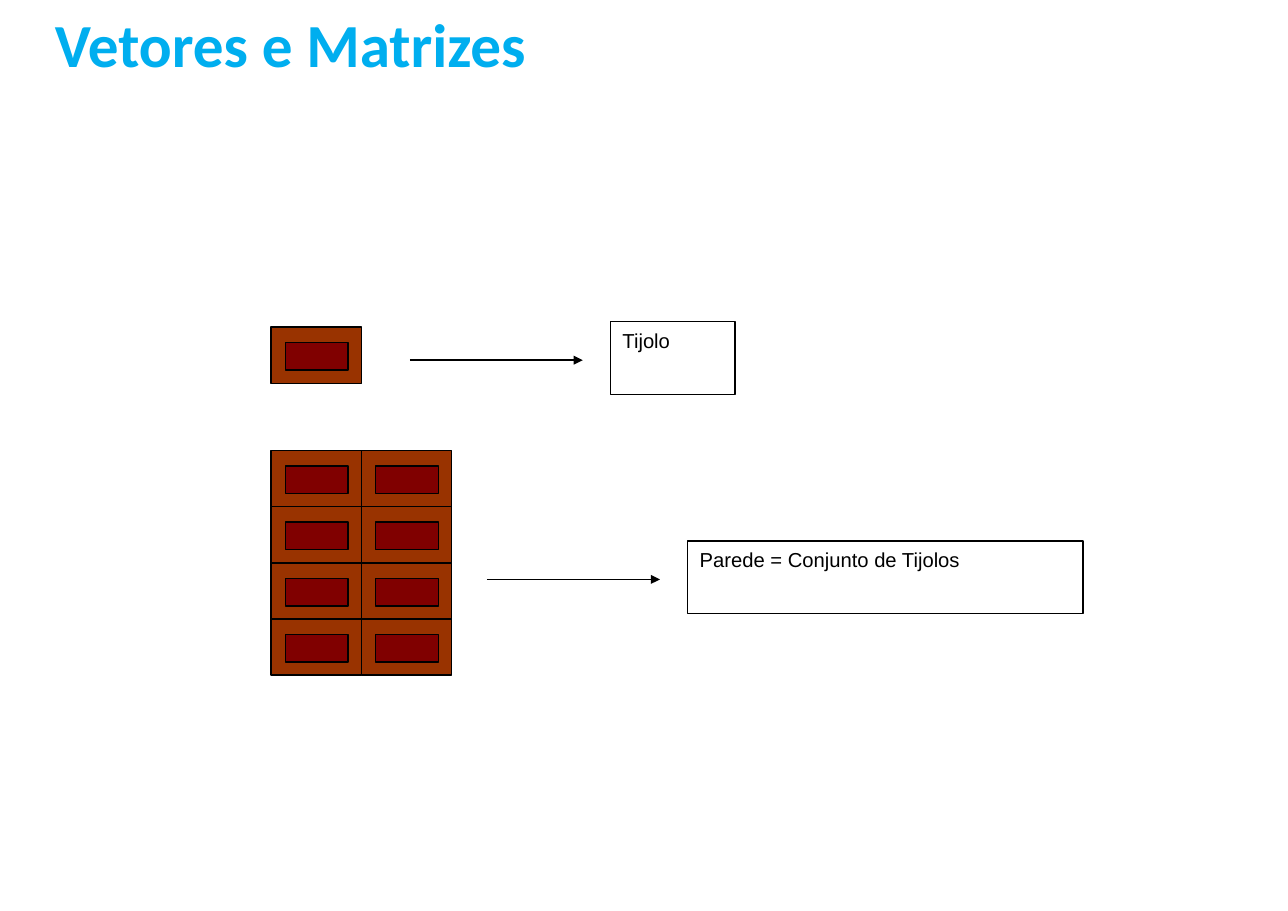
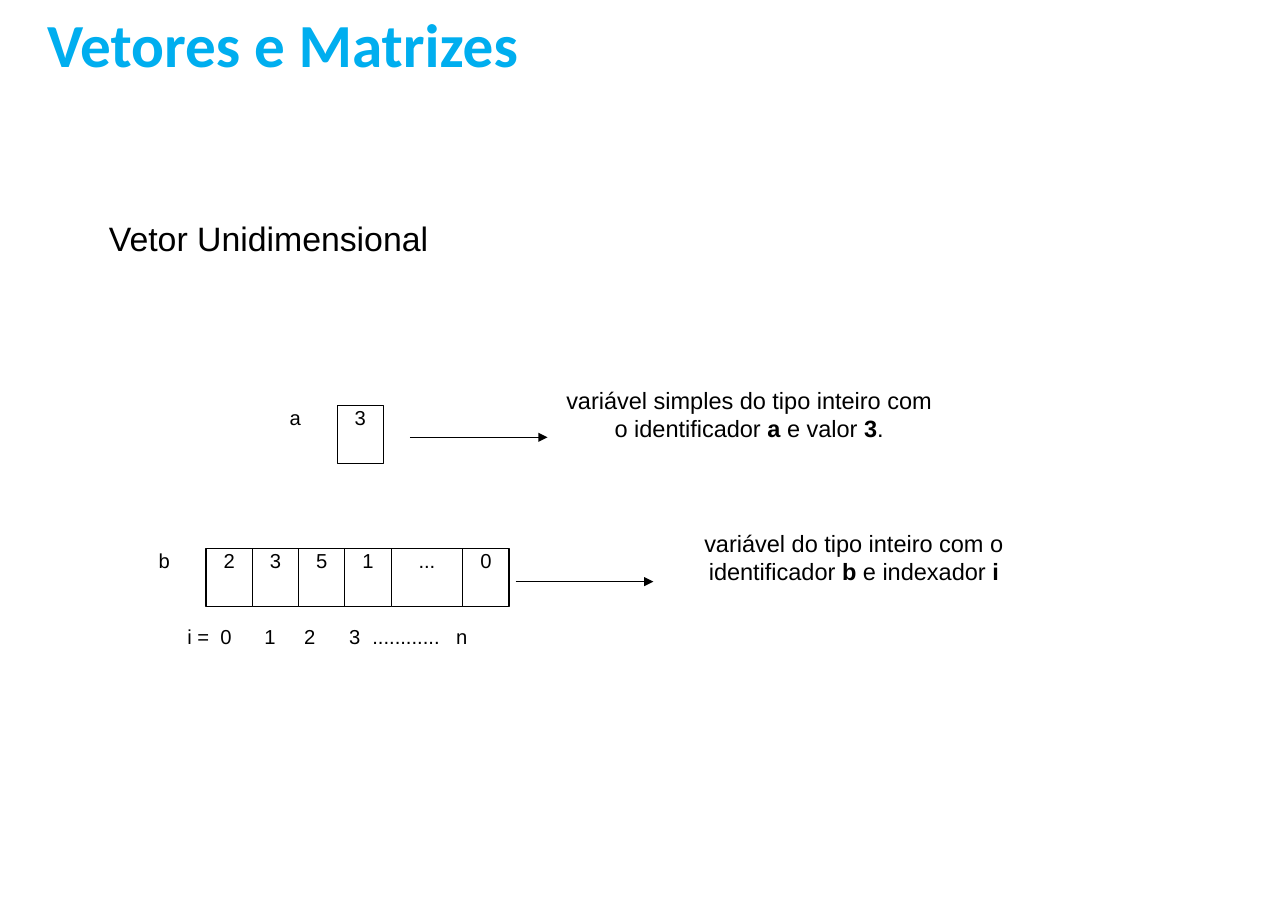
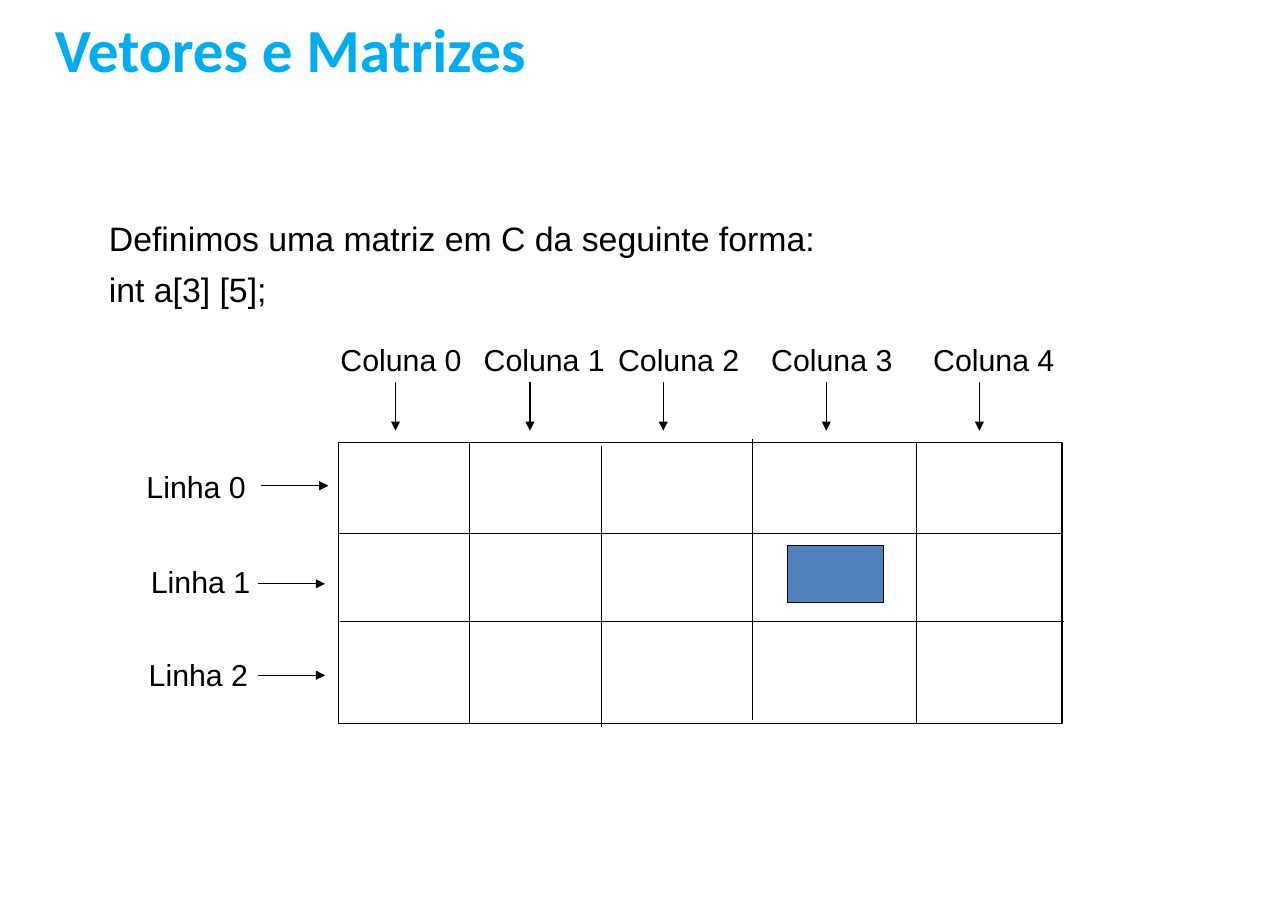
from lxml.etree import SubElement
from pptx import Presentation
from pptx.dml.color import RGBColor
from pptx.enum.shapes import MSO_CONNECTOR, MSO_SHAPE
from pptx.enum.text import MSO_ANCHOR, PP_ALIGN
from pptx.oxml.ns import qn
from pptx.util import Pt

PX = 9144  # 100 px to the inch
BLACK = RGBColor(0x00, 0x00, 0x00)
WHITE = RGBColor(0xFF, 0xFF, 0xFF)
CYAN = RGBColor(0x00, 0xAE, 0xEF)
BRICK = RGBColor(0x99, 0x33, 0x00)
MAROON = RGBColor(0x80, 0x00, 0x00)
BLUE = RGBColor(0x4F, 0x81, 0xBD)
INSET = (11, 6)
LEFT, CENTER = PP_ALIGN.LEFT, PP_ALIGN.CENTER


def box(s, x, y, w, h, text="", size=13.2, color=BLACK, font="Arial", bold=None,
        fill=None, line=None, inset=INSET, align=LEFT, anchor=MSO_ANCHOR.TOP,
        wrap=True, before=()):
    """Rectangle if filled, else text box; parts between | are bold."""
    frame = [v * PX for v in (x, y, w, h)]
    if fill is None:
        sp = s.shapes.add_textbox(*frame)
    else:
        sp = s.shapes.add_shape(MSO_SHAPE.RECTANGLE, *frame)
        sp.shadow.inherit = False
        sp.fill.solid()
        sp.fill.fore_color.rgb = fill
        if line:
            sp.line.color.rgb = BLACK
            sp.line.width = Pt(line)
        else:
            sp.line.fill.background()
    if not text:
        return sp
    tf = sp.text_frame
    tf.word_wrap = wrap
    tf.vertical_anchor = anchor
    tf.margin_left = tf.margin_right = inset[0] * PX
    tf.margin_top = tf.margin_bottom = inset[1] * PX
    for i, words in enumerate(text.split("\n")):
        p = tf.add_paragraph() if i else tf.paragraphs[0]
        p.alignment = align
        if before:
            p.space_before = Pt(before[i])
        p.font.name, p.font.size, p.font.bold = font, Pt(size), bold
        p.font.color.rgb = color
        for j, part in enumerate(words.split("|")):
            r = p.add_run()
            r.text = part
            if j % 2:
                r.font.bold = True
    return sp


def line(s, x1, y1, x2, y2, width=0.75, arrow=False):
    c = s.shapes.add_connector(MSO_CONNECTOR.STRAIGHT, x1 * PX, y1 * PX, x2 * PX, y2 * PX)
    c.line.color.rgb = BLACK
    c.line.width = Pt(width)
    if arrow:
        SubElement(c.line._get_or_add_ln(), qn("a:tailEnd"), type="triangle")
    SubElement(c._element.spPr, qn("a:effectLst"))


prs = Presentation()
prs.slide_width, prs.slide_height = 1169 * PX, 827 * PX

# Slides with their shared title
slides = []
for x, y, h in ((40, 1, 77), (33, 1, 77), (40, 10, 68)):
    s = prs.slides.add_slide(prs.slide_layouts[6])
    box(s, x, y, 992, h, "Vetores e Matrizes", 40, CYAN, "Calibri", True,
        inset=(10, 5), anchor=MSO_ANCHOR.MIDDLE)
    slides.append(s)
wall, vector, matrix = slides

# Body text of the last two slides
for s, text in ((vector, "Vetor Unidimensional"),
                (matrix, "Definimos uma matriz em C da seguinte forma:\nint a[3] [5];")):
    box(s, 89, 193, 992, 546, text, 22.1, inset=(10, 5), before=(7.7, 6.6))

# Slide 1: one brick, then a wall of 4 rows by 2 columns
BRICK_W, BRICK_H = 82, 51
bricks = [(246, 297)]
bricks += [(246 + col * BRICK_W, 409 + row * BRICK_H) for row in range(4) for col in range(2)]
for x, y in bricks:
    box(wall, x, y, BRICK_W, BRICK_H, fill=BRICK, line=1)
    box(wall, x + 13, y + 14, 57, 25, fill=MAROON, line=1)
for x, y, w, text in ((372, 327, 113, "Tijolo"), (442, 526, 359, "Parede = Conjunto de Tijolos")):
    line(wall, x, y, x + 157, y, 1, arrow=True)
    box(wall, x + 182, y - 35, w, 66, text, fill=WHITE, line=1)

# Slide 2: a simple variable and a vector, each with name, cells, arrow and note
CELL_W, DOTS_W, CELL_H = 42, 65, 53
rows = (
    ("a", 306, 368, ["3"], 372, 397, 498, 344,
     "variável simples do tipo inteiro com o identificador |a| e valor |3|."),
    ("b", 187, 498, ["2", "3", "5", "1", "...", "0"], 468, 528, 593, 474,
     "variável do tipo inteiro com o identificador |b| e indexador |i"),
)
for name, x, y, values, arrow_x, arrow_y, note_x, note_y, note in rows:
    box(vector, x - 54, y - 6, 54, 59, name, fill=WHITE)
    for value in values:
        w = DOTS_W if value == "..." else CELL_W
        box(vector, x, y, w, CELL_H, value, fill=WHITE, line=0.75, inset=(0, 0), align=CENTER)
        x += w
    line(vector, arrow_x, arrow_y, arrow_x + 125, arrow_y, arrow=True)
    box(vector, note_x, note_y, 364, 112, note, 15.4, align=CENTER)

# Index row, set with tab stops
sp = box(vector, 159, 561, 313, 45, "i =\t0\t1\t2\t3\t............\tn", fill=WHITE)
pPr = sp.text_frame.paragraphs[0]._p.get_or_add_pPr()
tabs = pPr.makeelement(qn("a:tabLst"), {})
pPr.find(qn("a:defRPr")).addprevious(tabs)
for stop in (30, 70, 106, 147, 168, 244):
    SubElement(tabs, qn("a:tab"), pos=str(stop * PX), algn="l")

# Slide 3: matrix grid
X, Y, W, H = 307, 402, 657, 255
box(matrix, X, Y, W, H, fill=WHITE, line=0.75)
for x, dy in ((426, 0), (546, 3), (683, -3), (832, 0)):
    line(matrix, x, Y + dy, x, Y + dy + H)
for y, dx in ((484, 0), (564, 2)):
    line(matrix, X + dx, y, X + dx + W, y)
box(matrix, 715, 495, 87, 52, fill=BLUE, line=0.75)

# Row and column labels with arrows
for i, (x, y, arrow_x, arrow_y) in enumerate(
        ((122, 419, 237, 441), (126, 505, 234, 530), (124, 590, 234, 613))):
    box(matrix, x, y, 113, 45, f"Linha {i}", 19.8, wrap=False)
    line(matrix, arrow_x, arrow_y, arrow_x + 61, arrow_y, arrow=True)
for i, (x, arrow_x) in enumerate(((298, 359), (428, 481), (550, 602), (689, 750), (836, 889))):
    box(matrix, x, 304, 133, 45, f"Coluna {i}", 19.8, wrap=False)
    line(matrix, arrow_x, 347, arrow_x, 391, arrow=True)

prs.save("out.pptx")
